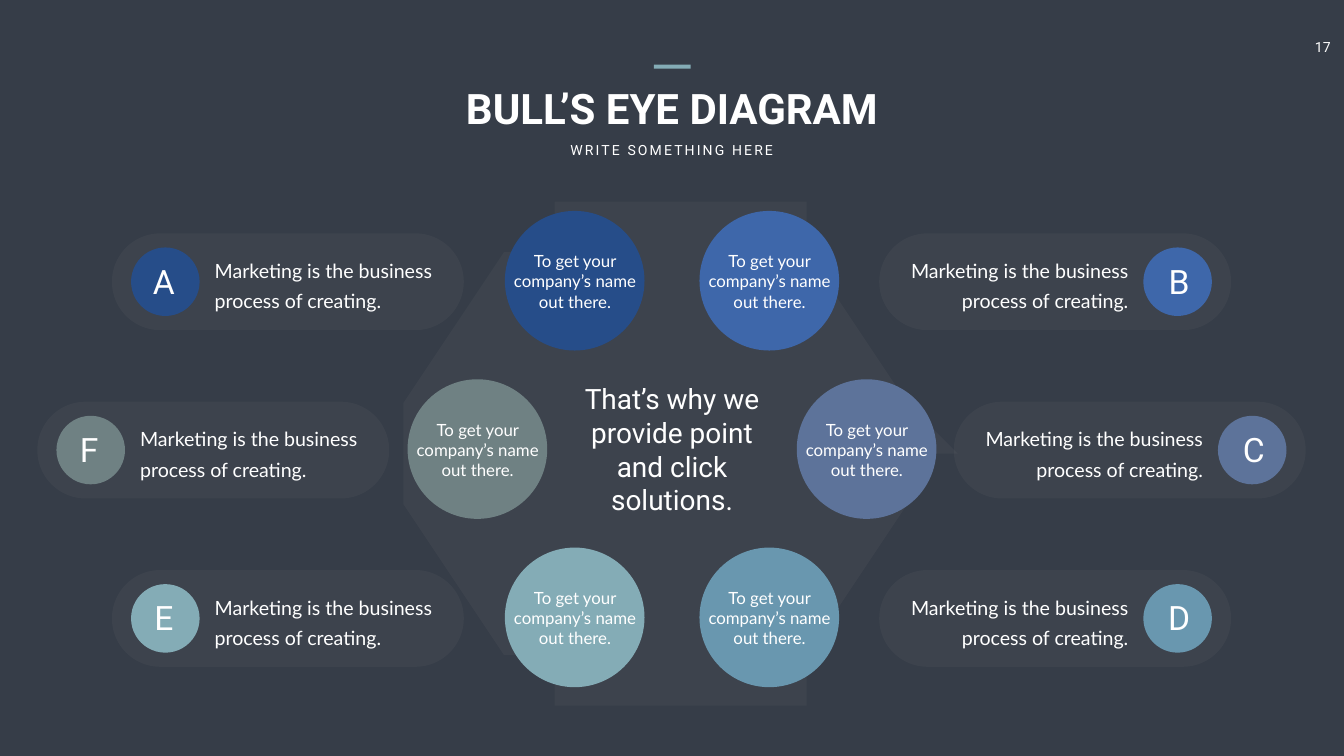
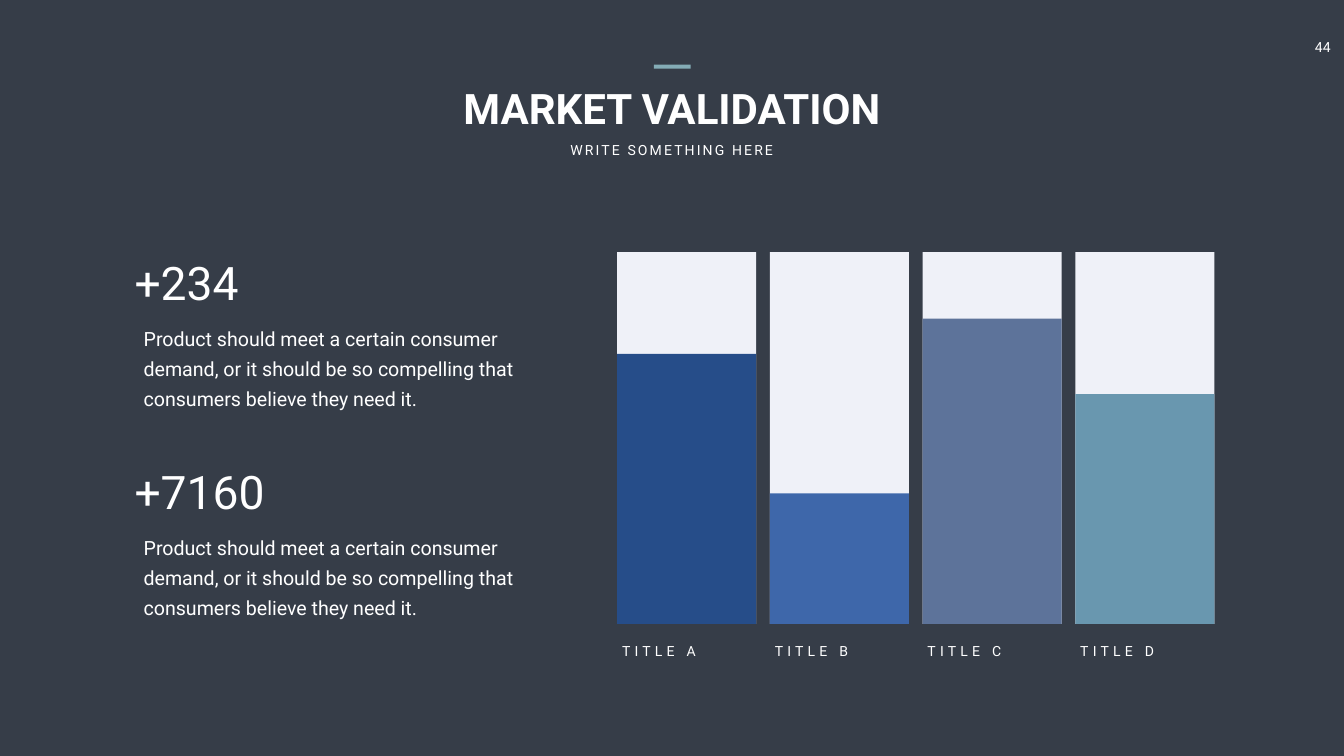
import math

import pptx
import pptx.dml.color
import pptx.enum.shapes
import pptx.enum.text
import pptx.oxml.ns
import pptx.util
from lxml import etree

Inches = pptx.util.Inches
RGBColor = pptx.dml.color.RGBColor
Align = pptx.enum.text.PP_ALIGN
Shape = pptx.enum.shapes.MSO_SHAPE

# Shared look
SLIDE_WIDTH, SLIDE_HEIGHT = 26.66, 15
CENTER_X = SLIDE_WIDTH / 2
BACKGROUND = RGBColor(0x36, 0x3D, 0x48)
WHITE = RGBColor(0xFF, 0xFF, 0xFF)
GREY = RGBColor(0x80, 0x80, 0x80)
PALE = RGBColor(0xEF, 0xF1, 0xF8)
NAVY = RGBColor(0x26, 0x4D, 0x89)
BLUE = RGBColor(0x3E, 0x67, 0xAA)
SLATE = RGBColor(0x5D, 0x73, 0x9A)
STEEL = RGBColor(0x69, 0x97, 0xAF)
AQUA = RGBColor(0x84, 0xAC, 0xB6)
SAGE = RGBColor(0x6F, 0x81, 0x83)

# Content
SUBTITLE = "WRITE SOMETHING HERE"
PILL_TEXT = "Marketing is the business process of creating."
CIRCLE_TEXT = "To get your company’s name out there."
HUB_TEXT = "That’s why we provide point and click solutions."
# letter, colour, row, side (-1 left, 1 right)
TARGETS = [
    ("A", NAVY, 0, -1),
    ("B", BLUE, 0, 1),
    ("C", SLATE, 1, 1),
    ("D", STEEL, 2, 1),
    ("E", AQUA, 2, -1),
    ("F", SAGE, 1, -1),
]
PRODUCT_TEXT = ("Product should meet a certain consumer demand, or it should be "
                "so compelling that consumers believe they need it.")
FIGURES = ["+234", "+7160"]
# label, colour, filled height
BARS = [
    ("TITLE A", NAVY, 5.36),
    ("TITLE B", BLUE, 2.59),
    ("TITLE C", SLATE, 6.06),
    ("TITLE D", STEEL, 4.56),
]


def write_text(box, text, size, font="Roboto", bold=False, align=Align.LEFT,
               line=None, spacing=0, wrap=True, inset=(0.1, 0.05)):
    """Fill a text box or placeholder with one formatted paragraph."""
    frame = box.text_frame
    frame.auto_size = pptx.enum.text.MSO_AUTO_SIZE.NONE
    frame.word_wrap = wrap
    frame.vertical_anchor = pptx.enum.text.MSO_ANCHOR.TOP
    frame.margin_left = frame.margin_right = Inches(inset[0])
    frame.margin_top = frame.margin_bottom = Inches(inset[1])
    para = frame.paragraphs[0]
    para.alignment = align
    if line:
        para.line_spacing = pptx.util.Pt(line)
    span = para.add_run()
    span.text = text
    span.font.name = font
    span.font.size = pptx.util.Pt(size)
    span.font.bold = bold
    span.font.color.rgb = WHITE
    if spacing:
        span.font._element.set("spc", str(spacing * 100))


def add_text(page, text, left, top, width, height, **style):
    box = page.shapes.add_textbox(*map(Inches, (left, top, width, height)))
    write_text(box, text, **style)


def paint(shape, color, opacity=None):
    shape.shadow.inherit = False
    shape.line.fill.background()
    shape.fill.solid()
    shape.fill.fore_color.rgb = color
    if opacity is not None:
        qn = pptx.oxml.ns.qn
        tint = shape.element.find(".//" + qn("a:srgbClr"))
        etree.SubElement(tint, qn("a:alpha")).set("val", str(opacity * 1000))


def add_block(page, kind, left, top, width, height, color, opacity=None):
    shape = page.shapes.add_shape(kind, *map(Inches, (left, top, width, height)))
    paint(shape, color, opacity)
    return shape


def add_page(deck, number, title, title_width):
    """Start a slide with its number, title, subtitle and accent bar."""
    page = deck.slides.add_slide(deck.slide_layouts[5])
    page.background.fill.solid()
    page.background.fill.fore_color.rgb = BACKGROUND
    heading = page.shapes.title
    heading.left, heading.top = Inches(CENTER_X - title_width / 2), Inches(1.59)
    heading.width, heading.height = Inches(title_width), Inches(1.11)
    write_text(heading, title, size=60, bold=True, align=Align.CENTER)
    add_text(page, str(number), 25.87, 0.67, 0.74, 0.54, size=20,
             align=Align.CENTER, wrap=False, inset=(0.2, 0.1))
    add_text(page, SUBTITLE, 11.15, 2.75, 4.35, 0.44, size=20,
             align=Align.CENTER, spacing=3, wrap=False)
    add_block(page, Shape.RECTANGLE, 12.97, 1.28, 0.73, 0.08, AQUA)
    return page


def add_rounded_hexagon(page, center_x, center_y, radius, cut, color, opacity):
    """Draw a flat-topped hexagon whose corners are sampled Bezier curves."""
    corners = [(center_x + radius * math.cos(math.radians(60 * i)),
                center_y + radius * math.sin(math.radians(60 * i)))
               for i in range(6)]
    steps, pull = 12, 0.62
    points = []
    for i, corner in enumerate(corners):
        start, end = [
            [c + (n - c) * cut / radius for c, n in zip(corner, neighbour)]
            for neighbour in (corners[i - 1], corners[(i + 1) % 6])]
        for step in range(steps + 1):
            t = step / steps
            points.append(tuple(
                (1 - t) ** 3 * s + 3 * (1 - t) ** 2 * t * (s + (c - s) * pull)
                + 3 * (1 - t) * t ** 2 * (e + (c - e) * pull) + t ** 3 * e
                for s, c, e in zip(start, corner, end)))
    builder = page.shapes.build_freeform(*points[0], scale=Inches(1))
    builder.add_line_segments(points[1:], close=True)
    paint(builder.convert_to_shape(), color, opacity)


def add_pill(page, letter, color, row_y, left, side):
    """Draw a lettered pill; left pills mirror right ones."""
    pill_width, pill_height, disc = 6.98, 1.92, 1.36

    def place(offset, width):
        return left + (offset if side > 0 else pill_width - offset - width)

    pill = add_block(page, Shape.ROUNDED_RECTANGLE, left, row_y - pill_height / 2,
                     pill_width, pill_height, GREY, opacity=10)
    pill.adjustments[0] = 0.5
    add_block(page, Shape.OVAL, place(5.24, disc), row_y - disc / 2,
              disc, disc, color)
    add_text(page, letter, place(5.54, 0.82), row_y - 0.47, 0.82, 0.91,
             size=48, align=Align.CENTER)
    add_text(page, PILL_TEXT, place(0.46, 4.58), row_y - 0.63, 4.58, 1.25,
             size=28, font="Lato", line=43,
             align=Align.RIGHT if side > 0 else Align.LEFT)


def build_bulls_eye(deck):
    page = add_page(deck, 17, "BULL’S EYE DIAGRAM", 11.26)
    first_row, row_step = 5.59, 3.34
    outer_pills = {-1: 0.74, 1: 18.92}
    diameter, circle_step, inward = 2.77, 1.93, 1.48

    # Lettered pills on both sides
    for letter, color, row, side in TARGETS:
        left = outer_pills[side] - (0 if row == 1 else side * inward)
        add_pill(page, letter, color, first_row + row * row_step, left, side)

    # Hexagon with a circle on each corner
    add_rounded_hexagon(page, CENTER_X, 8.9, 5.46, 0.84, GREY, opacity=10)
    for _, color, row, side in TARGETS:
        x = CENTER_X + side * circle_step * (2 if row == 1 else 1)
        y = first_row + row * row_step - 0.02
        add_block(page, Shape.OVAL, x - diameter / 2, y - diameter / 2,
                  diameter, diameter, color)
        add_text(page, CIRCLE_TEXT, x - 1.31, y - 0.64, 2.63, 1.31,
                 size=24, font="Lato", align=Align.CENTER)
    add_text(page, HUB_TEXT, CENTER_X - 2, 7.53, 4, 2.79, size=40,
             align=Align.CENTER)


def build_market_validation(deck):
    page = add_page(deck, 44, "MARKET VALIDATION", 10.31)

    # Key figures
    for i, figure in enumerate(FIGURES):
        top = 5 + i * 4.15
        add_text(page, PRODUCT_TEXT, 2.61, top + 1.23, 7.97, 2, size=28,
                 line=43, inset=(0.24, 0.12))
        add_text(page, figure, 2.57, top, 3, 1.21, size=66)

    # Partly filled bars
    bar_top, bar_width, bar_height = 5, 2.76, 7.38
    for i, (label, color, filled) in enumerate(BARS):
        left = 12.24 + i * 3.03
        add_block(page, Shape.RECTANGLE, left, bar_top, bar_width, bar_height, PALE)
        add_block(page, Shape.RECTANGLE, left, bar_top + bar_height - filled,
                  bar_width, filled, color)
        add_text(page, label, left, 12.69, 1.76, 0.44, size=20, spacing=6,
                 wrap=False)


def main():
    deck = pptx.Presentation()
    deck.slide_width, deck.slide_height = Inches(SLIDE_WIDTH), Inches(SLIDE_HEIGHT)
    build_bulls_eye(deck)
    build_market_validation(deck)
    deck.save("out.pptx")


if __name__ == "__main__":
    main()
